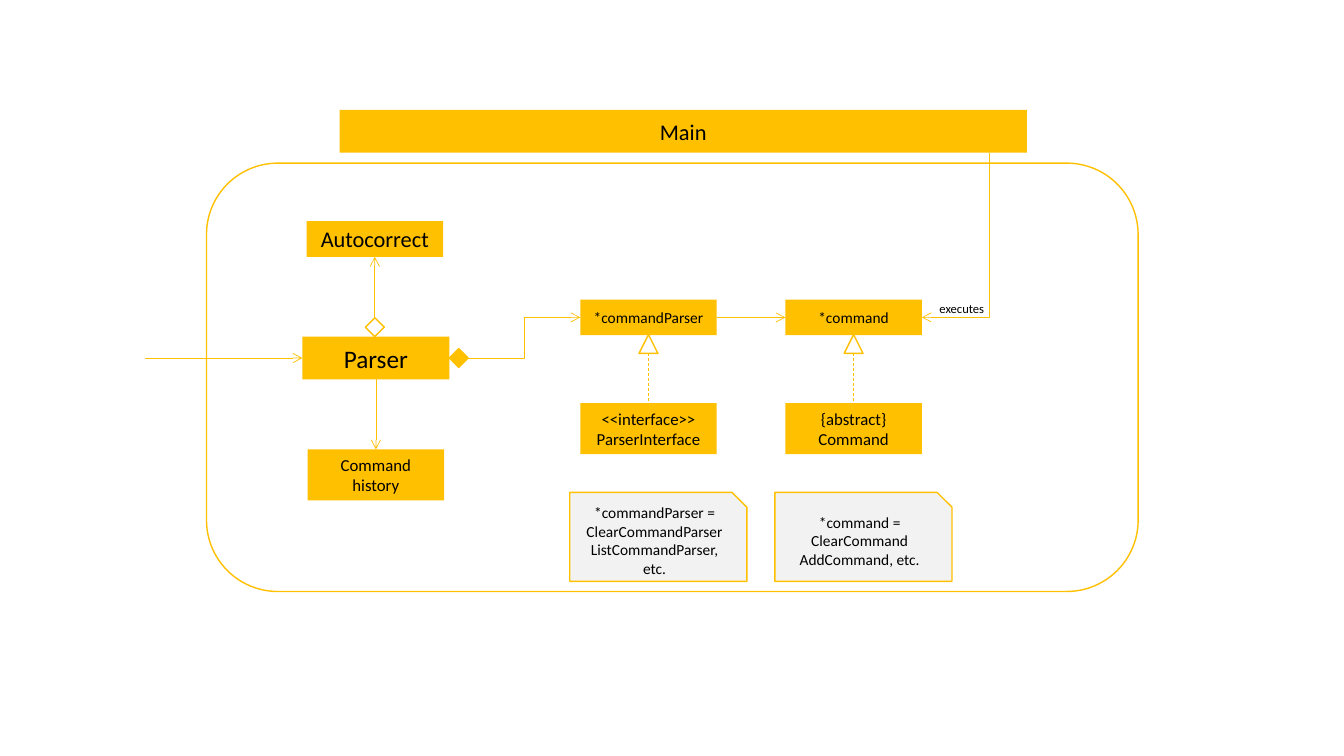
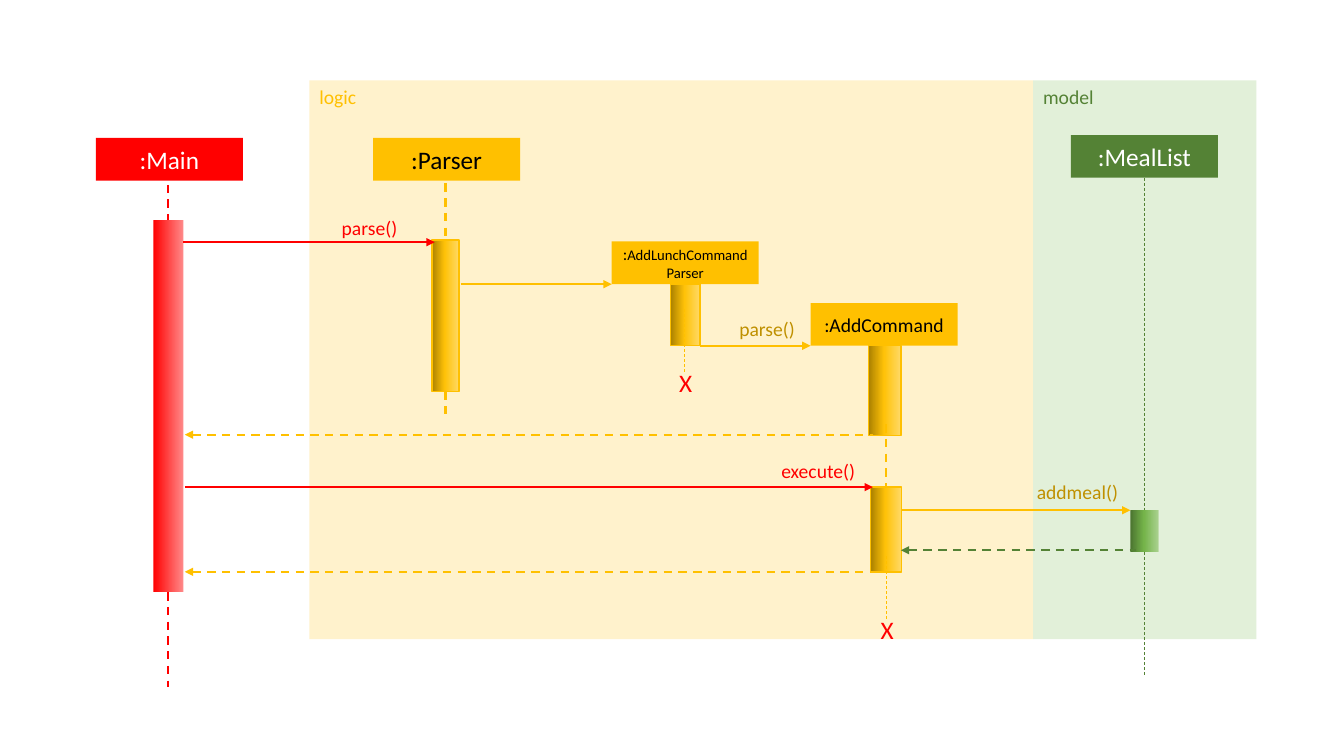
"""Build the class diagram and the sequence diagram of the command parser."""
from copy import deepcopy

from lxml import etree
from pptx import Presentation
from pptx.dml.color import RGBColor
from pptx.enum.dml import MSO_LINE
from pptx.enum.shapes import MSO_CONNECTOR, MSO_SHAPE
from pptx.enum.text import MSO_ANCHOR, MSO_AUTO_SIZE, PP_ALIGN
from pptx.oxml.ns import qn
from pptx.util import Pt

AMBER = RGBColor(0xFF, 0xC0, 0x00)
DARK_AMBER = RGBColor(0xBF, 0x90, 0x00)
PALE_AMBER = RGBColor(0xFF, 0xF2, 0xCC)
GREEN = RGBColor(0x54, 0x82, 0x35)
PALE_GREEN = RGBColor(0xE2, 0xF0, 0xD9)
RED = RGBColor(0xFF, 0x00, 0x00)
GREY = RGBColor(0xF2, 0xF2, 0xF2)
BLACK = RGBColor(0x00, 0x00, 0x00)
WHITE = RGBColor(0xFF, 0xFF, 0xFF)
RED_STOPS = [(0, RED), (1, RGBColor(0xFF, 0x89, 0x89))]
AMBER_STOPS = [(0, RGBColor(0xAB, 0x81, 0x00)), (0.48, RGBColor(0xFF, 0xC2, 0x08)),
               (1, RGBColor(0xFF, 0xD9, 0x66))]
GREEN_STOPS = [(0, RGBColor(0x4B, 0x74, 0x30)), (0.48, RGBColor(0x74, 0xB3, 0x49)),
               (1, RGBColor(0xA9, 0xD1, 0x8E))]

RECTANGLE = MSO_SHAPE.RECTANGLE
ROUNDED = MSO_SHAPE.ROUNDED_RECTANGLE
DIAMOND = MSO_SHAPE.DIAMOND
TRIANGLE = MSO_SHAPE.ISOSCELES_TRIANGLE
NOTE = MSO_SHAPE.SNIP_1_RECTANGLE
STRAIGHT = MSO_CONNECTOR.STRAIGHT
ELBOW = MSO_CONNECTOR.ELBOW
DASH = MSO_LINE.DASH
CENTER = PP_ALIGN.CENTER
LEFT_ALIGN = PP_ALIGN.LEFT
MIDDLE = MSO_ANCHOR.MIDDLE
GROW = MSO_AUTO_SIZE.SHAPE_TO_FIT_TEXT
TOP, LEFT, BOTTOM, RIGHT = range(4)

FONT = "Calibri"
HEADER_WIDTH, HEADER_HEIGHT = 105, 30.5
CLASS_WIDTH, CLASS_HEIGHT, TALL_HEIGHT = 97.5, 25.5, 36.5
MARK = 13.5


def write(para, text, size=18, color=BLACK, align=CENTER):
    para.alignment = align
    span = para.add_run()
    span.text = text
    span.font.name = FONT
    span.font.size = Pt(size)
    span.font.color.rgb = color


class Diagram:
    def __init__(self):
        self.deck = Presentation()
        self.deck.slide_width, self.deck.slide_height = Pt(960), Pt(540)
        self.page = None

    def new_page(self):
        self.page = self.deck.slides.add_slide(self.deck.slide_layouts[6])

    def box(self, x, y, width, height, text="", kind=RECTANGLE, fill=AMBER,
            outline=None, size=18, color=BLACK):
        box = self.page.shapes.add_shape(kind, Pt(x), Pt(y), Pt(width), Pt(height))
        box.shadow.inherit = False
        if fill is None:
            box.fill.background()
        else:
            box.fill.solid()
            box.fill.fore_color.rgb = fill
        if outline is None:
            box.line.fill.background()
        else:
            box.line.color.rgb = outline
            box.line.width = Pt(1)
        if text:
            frame = box.text_frame
            frame.word_wrap = True
            frame.vertical_anchor = MIDDLE
            for number, line in enumerate(text.split("\n")):
                para = frame.add_paragraph() if number else frame.paragraphs[0]
                write(para, line, size=size, color=color)
        return box

    def header(self, x, y, text, **style):
        return self.box(x, y, HEADER_WIDTH, HEADER_HEIGHT, text, **style)

    def bar(self, x, y, width, height, stops=AMBER_STOPS, outline=None):
        bar = self.box(x, y, width, height, outline=outline)
        bar.fill.gradient()
        bar.fill.gradient_angle = 0
        stop_list = bar._element.spPr.find(".//" + qn("a:gsLst"))
        while len(stop_list) < len(stops):
            stop_list.append(deepcopy(stop_list[0]))
        for stop, (position, color) in zip(bar.fill.gradient_stops, stops):
            stop.position = position
            stop.color.rgb = color
        return bar

    def label(self, x, y, width, height, text, size=14, color=BLACK, wrap=True):
        label = self.page.shapes.add_textbox(Pt(x), Pt(y), Pt(width), Pt(height))
        frame = label.text_frame
        frame.word_wrap = wrap
        frame.auto_size = GROW
        write(frame.paragraphs[0], text, size=size, color=color, align=LEFT_ALIGN)

    def line(self, start, end, color=AMBER, width=0.5, dash=False,
             head=None, tail=None, kind=STRAIGHT):
        """Draw a connector between two ends, each a point or a (box, side) pair."""
        line = self.page.shapes.add_connector(kind, 0, 0, 0, 0)
        if hasattr(start[0], "shape_id"):
            line.begin_connect(*start)
        else:
            line.begin_x, line.begin_y = map(Pt, start)
        if hasattr(end[0], "shape_id"):
            line.end_connect(*end)
        else:
            line.end_x, line.end_y = map(Pt, end)
        line.line.color.rgb = color
        line.line.width = Pt(width)
        if dash:
            line.line.dash_style = DASH
        properties = line._element.spPr
        stroke = properties.find(qn("a:ln"))
        for tag, arrow in (("a:headEnd", head), ("a:tailEnd", tail)):
            if arrow:
                etree.SubElement(stroke, qn(tag)).set("type", arrow)
        etree.SubElement(properties, qn("a:effectLst"))
        return line

    def message(self, x1, x2, y, color=AMBER):
        self.line((x1, y), (x2, y), color, 1.5, tail="triangle")

    def reply(self, x1, x2, y, color=AMBER):
        self.line((x1, y), (x2, y), color, 1.5, dash=True, head="triangle")


def draw_classes(diagram):
    diagram.new_page()
    diagram.box(147.5, 116.5, 665.5, 306, kind=ROUNDED, fill=WHITE, outline=AMBER)
    diagram.box(242.5, 78.5, 491, HEADER_HEIGHT, "Main", size=16)
    parser = diagram.header(216, 240.5, "Parser")
    autocorrect = diagram.box(219, 158, CLASS_WIDTH, CLASS_HEIGHT, "Autocorrect", size=16)
    history = diagram.box(219.75, 321, CLASS_WIDTH, TALL_HEIGHT, "Command\nhistory", size=12)
    hollow = diagram.box(261, 227, MARK, MARK, kind=DIAMOND, fill=None, outline=AMBER)
    solid = diagram.box(321, 249, MARK, MARK, kind=DIAMOND, outline=AMBER)

    columns = [
        ("*commandParser", "<<interface>>\nParserInterface",
         "*commandParser =\nClearCommandParser\nListCommandParser, etc."),
        ("*command", "{abstract}\nCommand",
         "*command =\nClearCommand\nAddCommand, etc."),
    ]
    concretes = []
    for number, (concrete, base, note) in enumerate(columns):
        x = 414.5 + 146.5 * number
        middle = x + CLASS_WIDTH / 2
        concretes.append(diagram.box(x, 214, CLASS_WIDTH, CLASS_HEIGHT, concrete, size=11))
        parent = diagram.box(x, 288, CLASS_WIDTH, TALL_HEIGHT, base, size=12)
        diagram.box(middle - MARK / 2, 239, MARK, MARK,
                    kind=TRIANGLE, fill=None, outline=AMBER)
        diagram.line((middle, 239 + MARK), (parent, TOP), dash=True)
        diagram.box(x - 7.5, 351.75, 126.5, 63.5, note,
                    kind=NOTE, fill=GREY, outline=AMBER, size=11)

    command_parser, command = concretes
    diagram.line((hollow, TOP), (autocorrect, BOTTOM), tail="arrow")
    diagram.line((parser, BOTTOM), (history, TOP), tail="arrow")
    diagram.line((103.5, 255.75), (parser, LEFT), tail="arrow")
    diagram.line((command_parser, RIGHT), (command, LEFT), tail="arrow")
    diagram.line((solid, RIGHT), (command_parser, LEFT), tail="arrow", kind=ELBOW)
    executes = diagram.line((command, RIGHT), (706.5, 109), head="arrow", kind=ELBOW)
    executes._element.spPr.find(qn("a:prstGeom")).set("prst", "bentConnector2")
    diagram.label(664, 211.5, 47.5, 18, "executes", size=9, wrap=False)


def draw_sequence(diagram):
    diagram.new_page()
    panels = [(221, 517, "logic", PALE_AMBER, AMBER),
              (738, 159.5, "model", PALE_GREEN, GREEN)]
    for x, width, name, fill, color in panels:
        diagram.box(x, 57.5, width, 399, fill=fill)
        diagram.label(x, 57, 78, 24.5, name, color=color)

    diagram.header(266.5, 98.5, ":Parser")
    lunch_parser = diagram.header(437, 172.5, ":", size=12).text_frame
    write(lunch_parser.paragraphs[0], "AddLunchCommand", size=10.5)
    write(lunch_parser.add_paragraph(), "Parser", size=10.5)
    diagram.header(579, 216.5, ":AddCommand", size=14)
    diagram.header(68.5, 98.5, ":Main", fill=RED, color=WHITE)
    meal_list = diagram.header(765, 96.5, ":MealList", fill=GREEN, color=WHITE)

    main_bar = diagram.bar(109.5, 157, 21.5, 266, RED_STOPS)
    parser_bar = diagram.bar(308.5, 171.5, 19.5, 108, outline=AMBER)
    diagram.bar(479, 203, 21, 44, outline=AMBER)
    diagram.bar(620.5, 247, 23, 64, outline=AMBER)
    execute_bar = diagram.bar(622, 348, 22, 60.5, outline=AMBER)
    meal_bar = diagram.bar(807.5, 364.5, 20, 30, GREEN_STOPS)

    lifelines = [
        ((120.25, 132), (main_bar, TOP), RED, 1.5),
        ((main_bar, BOTTOM), (120.25, 490.5), RED, 1.5),
        ((318.25, 131), (parser_bar, TOP), AMBER, 1.5),
        ((parser_bar, BOTTOM), (318.25, 299.5), AMBER, 1.5),
        ((633, 303), (execute_bar, TOP), AMBER, 1.5),
        ((489, 221), (489, 265.5), AMBER, 0.5),
        ((633, 397.5), (633, 442), AMBER, 0.5),
        ((meal_list, BOTTOM), (meal_bar, TOP), GREEN, 0.5),
        ((meal_bar, BOTTOM), (817.5, 482.5), GREEN, 0.5),
    ]
    for start, end, color, width in lifelines:
        diagram.line(start, end, color, width, dash=True)

    diagram.message(131, 310.5, 173, RED)
    diagram.message(329, 437, 203)
    diagram.message(500, 579, 247)
    diagram.reply(132, 623.5, 310.5)
    diagram.message(132, 623.5, 348, RED)
    diagram.message(643.5, 807.5, 364.5)
    diagram.reply(643.5, 811.5, 393, GREEN)
    diagram.reply(132, 623.5, 408.5)

    for x, y in ((478, 258.5), (622, 435)):
        diagram.label(x, y, 21.5, 29, "X", size=18, color=RED)
    calls = [(551, 324.5, "execute()", RED), (237, 150.5, "parse()", RED),
             (521, 222.5, "parse()", DARK_AMBER), (733.5, 339, "addmeal()", DARK_AMBER)]
    for x, y, text, color in calls:
        diagram.label(x, y, 78, 24.5, text, color=color)


def main():
    diagram = Diagram()
    draw_classes(diagram)
    draw_sequence(diagram)
    diagram.deck.save("out.pptx")


if __name__ == "__main__":
    main()
